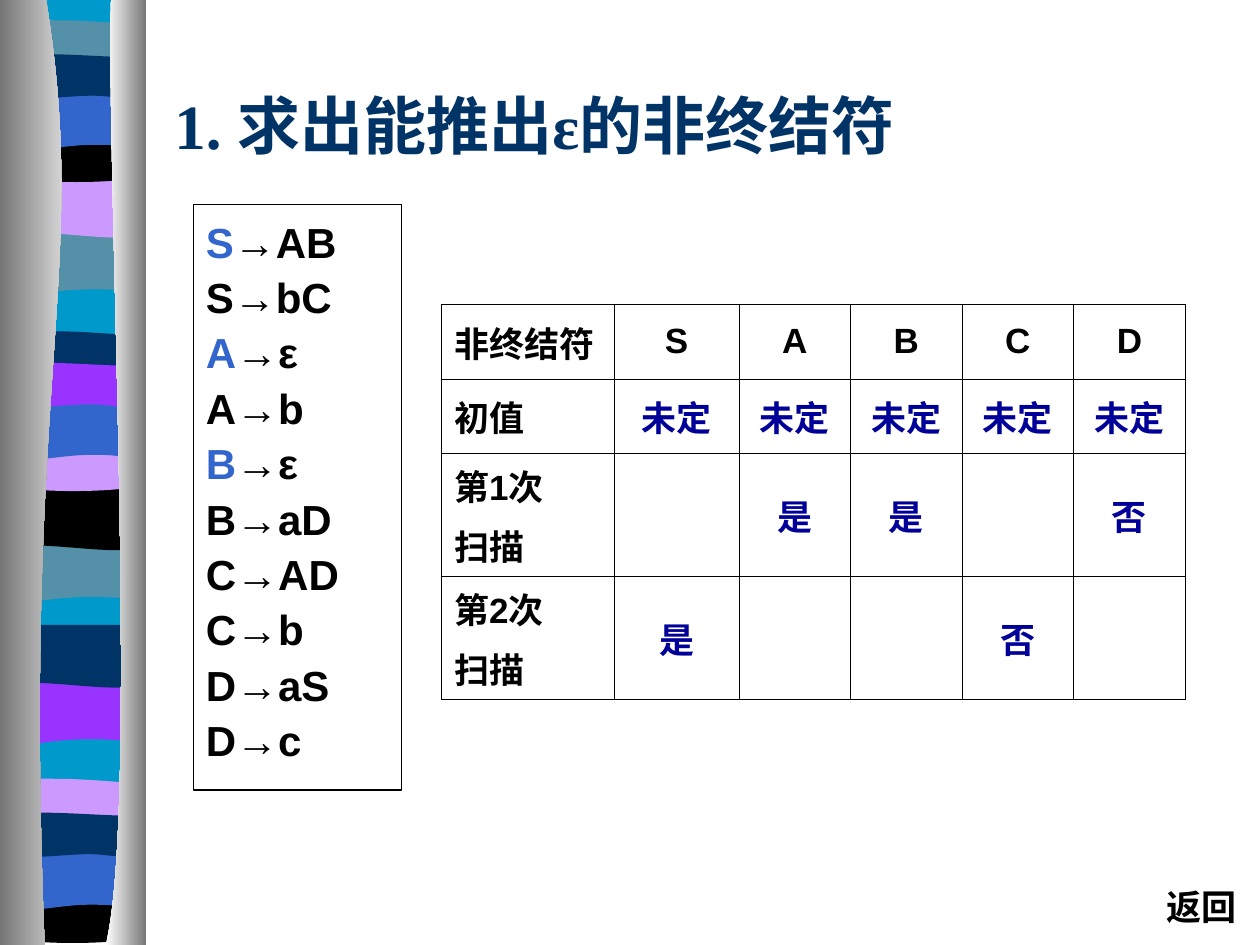
from dataclasses import dataclass
from typing import NamedTuple

from lxml.etree import SubElement
from pptx import Presentation
from pptx.dml.color import RGBColor
from pptx.enum.text import MSO_ANCHOR, MSO_AUTO_SIZE, PP_ALIGN
from pptx.oxml.ns import qn
from pptx.util import Cm, Pt


@dataclass(frozen=True)
class Theme:
    black: str = "000000"
    white: str = "FFFFFF"
    navy: str = "003366"
    blue: str = "3366CC"
    cyan: str = "0099CC"
    teal: str = "5490A8"
    lavender: str = "CC99FF"
    purple: str = "9933FF"
    answer: str = "000099"
    shade: str = "767676"
    title_font: str = "Times New Roman"
    body_font: str = "Arial"
    chinese_font: str = "Noto Sans CJK SC"
    title_size: int = 36
    rule_size: int = 24
    cell_size: int = 20


class Rule(NamedTuple):
    symbol: str
    production: str
    marked: bool = False


class Outline(NamedTuple):
    """Start point, then segments: one point is a line, three are a curve (cm)."""
    start: tuple
    segments: list


class BandSet(NamedTuple):
    left: float
    tops: list
    colors: list


THEME = Theme()
BAND_WIDTH = 2.69
SLIDE_HEIGHT = 19.05

# The six wave outlines, in drawing order within each set of bands.
WAVES = [
    Outline((2.69, 0), [[(2.69, 1.19)], [(0.81, 0.99), (0.43, 1.4), (0, 1.19)], [(0, 0)]]),
    Outline((2.69, 0), [[(2.69, 1.19)], [(2.24, 1.4), (0.81, 1.07), (0, 1.19)], [(0, 0)]]),
    Outline((2.69, 0.13), [[(2.69, 0.74)], [(2.24, 0.84), (0.43, 0.84), (0, 0.74)], [(0, 0.13)],
                           [(0.18, 0), (0.61, 0.03), (1.04, 0.03)],
                           [(1.5, 0.03), (2.36, 0.1), (2.69, 0.13)]]),
    Outline((2.69, 0), [[(2.69, 0.81)], [(2.24, 0.97), (0.43, 0.97), (0, 0.81)], [(0, 0)],
                        [(1.65, 0.13), (2.11, 0), (2.69, 0)]]),
    Outline((2.69, 0), [[(2.69, 1.19)], [(2.26, 1.04), (2.11, 1.04), (1.65, 1.04)],
                        [(1.19, 1.04), (0.41, 1.19), (0, 1.19)], [(0, 0)]]),
    Outline((2.69, 0.13), [[(2.69, 0.91)], [(2.51, 1.04), (2.11, 0.91), (1.65, 0.91)],
                           [(1.19, 0.91), (0.28, 1.04), (0, 0.91)], [(0, 0.13)],
                           [(0.38, 0), (1.83, 0.13), (2.29, 0.13)]]),
]
BAND_SETS = [
    BandSet(0.2, [4.7, 3.53, 0.38, 2.74, 1.88, 1.02],
            [THEME.teal, THEME.lavender, THEME.teal, THEME.black, THEME.blue, THEME.navy]),
    BandSet(0.15, [10.9, 9.83, 6.65, 8.97, 8.13, 7.24],
            [THEME.teal, THEME.black, THEME.navy, THEME.lavender, THEME.blue, THEME.purple]),
    BandSet(0.13, [13.77, 12.6, 15.67, 18.08, 17.2, 16.31],
            [THEME.purple, THEME.navy, THEME.lavender, THEME.black, THEME.blue, THEME.navy]),
]
BACKDROP = Outline((0, 0), [[(BAND_WIDTH, 0)], [(BAND_WIDTH, 18.95)], [(0, 18.95)]])
LEFT_EDGE = Outline((0.93, 0), [[(1.82, 5.49), (0.44, 7.52), (0.9, SLIDE_HEIGHT)],
                                [(0, SLIDE_HEIGHT)], [(0, 0)]])
RIGHT_EDGE = Outline((2.24, 0), [[(2.13, 3.18), (2.82, 16.41), (2.13, SLIDE_HEIGHT)],
                                 [(2.95, SLIDE_HEIGHT)], [(2.95, 0)]])

RULES = [
    Rule("S", "AB", True), Rule("S", "bC"), Rule("A", "ε", True), Rule("A", "b"),
    Rule("B", "ε", True), Rule("B", "aD"), Rule("C", "AD"), Rule("C", "b"),
    Rule("D", "aS"), Rule("D", "c"),
]
SCANS = [
    ["非终结符", "S", "A", "B", "C", "D"],
    ["初值"] + ["未定"] * 5,
    ["第1次\n扫描", "", "是", "是", "", "否"],
    ["第2次\n扫描", "是", "", "", "否", ""],
]
COLUMN_WIDTHS = [3.48, 2.52, 2.24, 2.26, 2.24, 2.26]
ROW_HEIGHTS = [1.5, 1.5, 2.48, 2.48]


def style(font, size: int, color: str, name: str) -> None:
    font.size, font.bold, font.name = Pt(size), True, name
    font.color.rgb = RGBColor.from_string(color)


def bend_curves(shape, segments: list) -> None:
    """Join the three straight steps of each curved segment into one Bézier curve."""
    steps = iter(list(shape._element.iter(qn("a:lnTo"))))
    for segment in segments:
        first, *others = [next(steps) for _ in segment]
        if others:
            first.tag = qn("a:cubicBezTo")
            for step in others:
                first.append(step[0])
                step.getparent().remove(step)


def draw_outline(slide, outline: Outline, colors: list, left: float = 0, top: float = 0) -> None:
    """One colour gives a solid fill, two a gradient from left to right."""
    points = [outline.start] + [point for segment in outline.segments for point in segment]
    first, *others = [(Cm(left + x), Cm(top + y)) for x, y in points]
    builder = slide.shapes.build_freeform(*first)
    builder.add_line_segments(others, close=True)
    shape = builder.convert_to_shape()
    # Closing adds nothing but the close mark, so steps and segments still agree.
    bend_curves(shape, outline.segments)
    shape.shadow.inherit = False
    shape.line.fill.background()
    if len(colors) == 1:
        shape.fill.solid()
        shape.fill.fore_color.rgb = RGBColor.from_string(colors[0])
    else:
        shape.fill.gradient()
        shape.fill.gradient_angle = 0
        for stop, color in zip(shape.fill.gradient_stops, colors):
            stop.color.rgb = RGBColor.from_string(color)


def draw_ribbon(slide) -> None:
    draw_outline(slide, BACKDROP, [THEME.cyan], 0.2)
    for bands in BAND_SETS:
        for wave, top, color in zip(WAVES, bands.tops, bands.colors):
            draw_outline(slide, wave, [color], bands.left, top)
    draw_outline(slide, LEFT_EDGE, [THEME.shade, THEME.white])
    draw_outline(slide, RIGHT_EDGE, [THEME.white, THEME.shade])


def write_title(slide) -> None:
    title = slide.shapes.title
    title.left, title.top, title.width, title.height = Cm(3.26), Cm(1.28), Cm(18.64), Cm(2.46)
    frame = title.text_frame
    frame.text = "1. 求出能推出ε的非终结符"
    frame.vertical_anchor = MSO_ANCHOR.MIDDLE
    frame.auto_size = MSO_AUTO_SIZE.NONE
    heading = frame.paragraphs[0]
    heading.alignment = PP_ALIGN.LEFT
    style(heading.font, THEME.title_size, THEME.navy, THEME.title_font)


def draw_grammar(slide) -> None:
    grammar = slide.shapes.add_textbox(Cm(3.9), Cm(4.13), Cm(4.19), Cm(11.8))
    grammar.line.color.rgb = RGBColor.from_string(THEME.black)
    grammar.line.width = Pt(0.75)
    grammar.text_frame.word_wrap = True
    productions = grammar.text_frame.paragraphs[0]
    productions.line_spacing = 1.1
    for index, rule in enumerate(RULES):
        if index:
            productions.add_line_break()
        symbol_color = THEME.blue if rule.marked else THEME.black
        for text, color in ((rule.symbol, symbol_color), ("→" + rule.production, THEME.black)):
            run = productions.add_run()
            run.text = text
            style(run.font, THEME.rule_size, color, THEME.body_font)


def set_borders(cell, outer_sides: set) -> None:
    properties = cell._tc.get_or_add_tcPr()
    for side in ("L", "R", "T", "B"):
        width = Pt(1.08 if side in outer_sides else 0.45)
        border = SubElement(properties, qn(f"a:ln{side}"), w=str(width))
        SubElement(SubElement(border, qn("a:solidFill")), qn("a:srgbClr"), val=THEME.black)


def draw_scans(slide) -> None:
    last_row, last_column = len(SCANS) - 1, len(COLUMN_WIDTHS) - 1
    table = slide.shapes.add_table(len(SCANS), len(COLUMN_WIDTHS), Cm(8.9), Cm(6.14),
                                   Cm(sum(COLUMN_WIDTHS)), Cm(sum(ROW_HEIGHTS))).table
    table.first_row = table.horz_banding = False
    for column, width in zip(table.columns, COLUMN_WIDTHS):
        column.width = Cm(width)
    for r, (row, height) in enumerate(zip(SCANS, ROW_HEIGHTS)):
        table.rows[r].height = Cm(height)
        for c, value in enumerate(row):
            cell = table.cell(r, c)
            cell.text = value
            cell.vertical_anchor = MSO_ANCHOR.MIDDLE
            edges = {"T": r == 0, "B": r == last_row, "L": c == 0, "R": c == last_column}
            set_borders(cell, {side for side, outer in edges.items() if outer})
            cell.fill.background()
            for index, line in enumerate(cell.text_frame.paragraphs):
                line.alignment = PP_ALIGN.CENTER if c else PP_ALIGN.LEFT
                if index:
                    line.space_before = Pt(5)
                style(line.font, THEME.cell_size, THEME.answer if r and c else THEME.black,
                      THEME.body_font)


def write_return(slide) -> None:
    frame = slide.shapes.add_textbox(Cm(23.27), Cm(17.73), Cm(1.92), Cm(1.12)).text_frame
    frame.word_wrap = False
    frame.auto_size = MSO_AUTO_SIZE.SHAPE_TO_FIT_TEXT
    frame.text = "返回"
    style(frame.paragraphs[0].font, THEME.cell_size, THEME.black, THEME.chinese_font)


def main() -> None:
    presentation = Presentation()
    presentation.slide_width, presentation.slide_height = Cm(25.4), Cm(SLIDE_HEIGHT)
    slide = presentation.slides.add_slide(presentation.slide_layouts[5])
    draw_ribbon(slide)
    write_title(slide)
    draw_grammar(slide)
    draw_scans(slide)
    write_return(slide)
    presentation.save("out.pptx")


if __name__ == "__main__":
    main()
